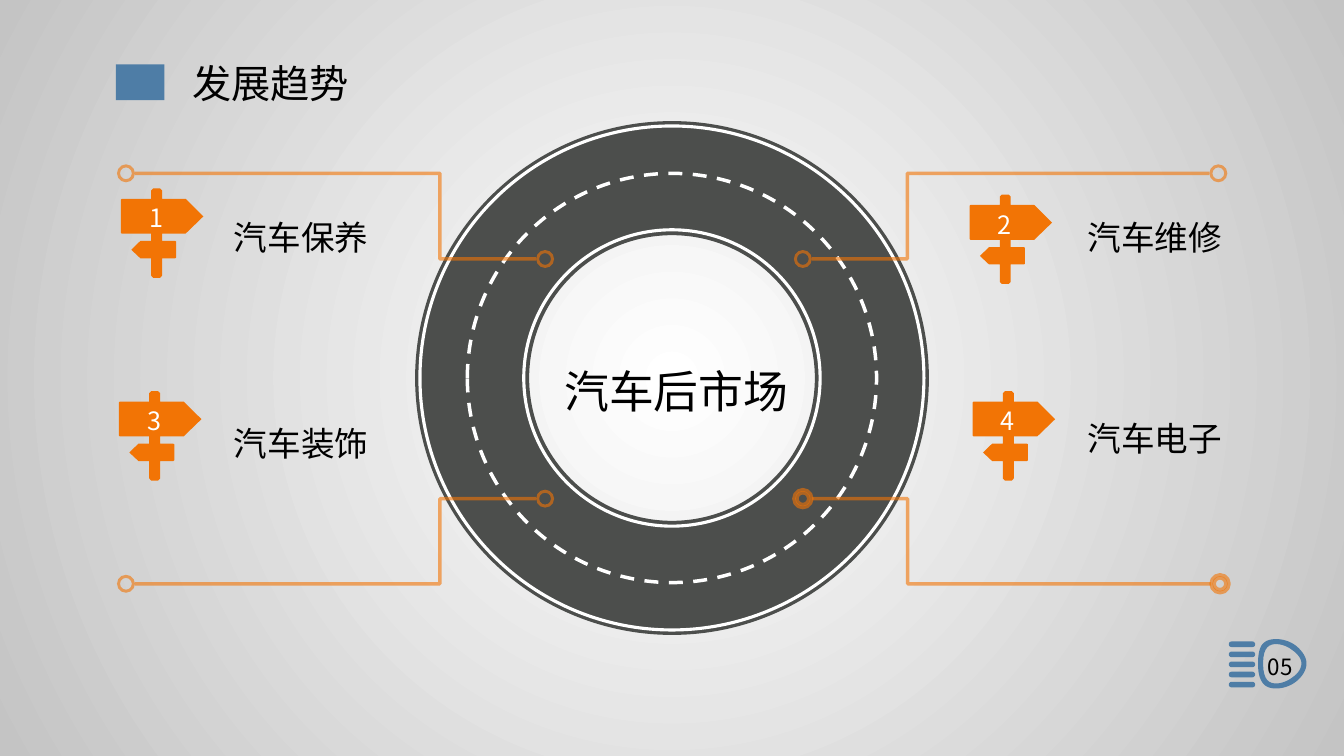
from lxml import etree
from pptx import Presentation
from pptx.dml.color import RGBColor
from pptx.enum.dml import MSO_LINE
from pptx.enum.shapes import MSO_CONNECTOR, MSO_SHAPE
from pptx.enum.text import MSO_ANCHOR, PP_ALIGN
from pptx.oxml.ns import qn
from pptx.util import Pt

RECT, DONUT, OVAL = MSO_SHAPE.RECTANGLE, MSO_SHAPE.DONUT, MSO_SHAPE.OVAL
ROUNDED, ELBOW, DASH = MSO_SHAPE.ROUNDED_RECTANGLE, MSO_CONNECTOR.ELBOW, MSO_LINE.DASH
LEFT, JUSTIFY, TOP = PP_ALIGN.LEFT, PP_ALIGN.JUSTIFY, MSO_ANCHOR.TOP

COLORS = {"blue": "4E7DA6", "road": "4C4E4C", "orange": "F27405",
          "white": "FFFFFF", "grey": "C4C4C4", "black": "000000"}
LATIN, CJK = "Calibri", "Noto Sans CJK SC"

TITLE, TOPIC, PAGE = "发展趋势", "汽车后市场", "05"
CENTER = (480, 270)
ROAD_DIAMETER = 367
ROAD_LINES = [(360, 2.25, None), (211.7, 2.25, None), (292.3, 2.5, DASH)]
# label, label position, sign position
TRENDS = [
    ("汽车保养", (160, 142.6), (86.4, 134.6)),
    ("汽车维修", (769.7, 142.6), (692.6, 139)),
    ("汽车装饰", (160, 290), (85, 279.4)),
    ("汽车电子", (769.7, 286.6), (694.8, 279.4)),
]
RING = 12.8
OPACITY = 60
CALLOUTS = [
    {"inner": (389.4, 185), "outer": (90, 123.8), "filled": True},
    {"inner": (573.5, 185), "outer": (870.3, 123.8), "filled": True},
    {"inner": (389.4, 356.2), "outer": (90, 417), "filled": True},
    {"inner": (573.5, 356.2), "outer": (871.5, 417), "filled": False},
]
SIGN = [
    (46.2, 32.3), (58.9, 20), (46.2, 7.4), (29.4, 7.4), (29.4, 1.4), (28, 0),
    (23, 0), (21.6, 1.4), (21.6, 7.4), (0.6, 7.4), (0, 8), (0, 31.7),
    (0.6, 32.3), (21.6, 32.3), (21.6, 37.5), (13.9, 37.5), (7.4, 43.8),
    (13.9, 49.9), (21.6, 49.9), (21.6, 62.3), (23, 63.8), (28, 63.8),
    (29.4, 62.3), (29.4, 49.9), (38.8, 49.9), (39.5, 49.4), (39.5, 38),
    (38.8, 37.5), (29.4, 37.5), (29.4, 32.3),
]
LAMP_AT = (898.6, 456.5)
LAMP_OUTER = [
    (27.4, 5), (23, 1.4), (17.3, 0), (13, 0), (7.9, 0), (4.3, 1.4), (2.2, 5),
    (0.7, 7.9), (0, 12.2), (0, 17.3), (0, 23), (0.7, 26.6), (2.2, 29.5),
    (4.3, 33.8), (7.9, 35.3), (13, 35.3), (17.3, 35.3), (23, 33.8), (27.4, 30.2),
    (31.7, 26.6), (34.6, 22.3), (34.6, 17.3), (34.6, 13), (31.7, 8.6), (27.4, 5),
]
LAMP_INNER = [
    (24.5, 27.4), (20.9, 30.2), (16.6, 31.7), (13, 31.7), (8.6, 31.7), (3.6, 30.2),
    (3.6, 17.3), (3.6, 5), (8.6, 3.6), (13, 3.6), (16.6, 3.6), (20.9, 5),
    (24.5, 7.9), (28.8, 10.8), (31, 14.4), (31, 17.3), (31, 20.9), (28.8, 24.5),
    (24.5, 27.4),
]
BEAMS, BEAM_AT, BEAM_SIZE, BEAM_PITCH = 5, (877.7, 458.2), (18.9, 4), 7.2

prs = Presentation()
prs.slide_width, prs.slide_height = Pt(960), Pt(540)
slide = prs.slides.add_slide(prs.slide_layouts[5])
shapes = slide.shapes


def rgb(color):
    return RGBColor.from_string(COLORS[color])


def fade(part):
    for color in part.element.spPr.iter(qn("a:srgbClr")):
        etree.SubElement(color, qn("a:alpha"), val=str(OPACITY * 1000))


def paint(part, fill=None, line=None, width=1, dash=None):
    part.shadow.inherit = False
    if fill:
        part.fill.solid()
        part.fill.fore_color.rgb = rgb(fill)
    else:
        part.fill.background()
    if line:
        part.line.color.rgb = rgb(line)
        part.line.width = Pt(width)
        if dash:
            part.line.dash_style = dash
    else:
        part.line.fill.background()


def add_round(kind, center, diameter, hole=None, **style):
    left, top = (c - diameter / 2 for c in center)
    part = shapes.add_shape(kind, Pt(left), Pt(top), Pt(diameter), Pt(diameter))
    if hole:
        part.adjustments[0] = hole
    paint(part, **style)
    return part


def add_outline(contours, at, fill):
    placed = [[(Pt(at[0] + x), Pt(at[1] + y)) for x, y in c] for c in contours]
    builder = shapes.build_freeform(*placed[0][0])
    for number, contour in enumerate(placed):
        if number:
            builder.move_to(*contour[0])
        builder.add_line_segments(contour[1:], close=True)
    paint(builder.convert_to_shape(), fill)


def smooth(points, steps=8):
    curve = [points[0]]
    for i in range(0, len(points) - 1, 3):
        for step in range(1, steps + 1):
            t = step / steps
            weights = ((1 - t) ** 3, 3 * t * (1 - t) ** 2, 3 * t * t * (1 - t), t ** 3)
            curve.append(tuple(sum(w * p[axis] for w, p in zip(weights, points[i:i + 4]))
                               for axis in (0, 1)))
    return curve


def write(box, text, size, font=CJK, color="black", align=LEFT, spacing=1.0):
    frame = box.text_frame
    frame.text = text
    frame.word_wrap = True
    frame.vertical_anchor = TOP
    line = frame.paragraphs[0]
    line.alignment, line.line_spacing = align, spacing
    line.font.size, line.font.name = Pt(size), font
    line.font.color.rgb = rgb(color)


def add_text(text, left, top, width, height, size, **style):
    write(shapes.add_textbox(Pt(left), Pt(top), Pt(width), Pt(height)), text, size, **style)


backdrop = slide.background.fill
backdrop.gradient()
for stop, color, position in zip(backdrop.gradient_stops, ("white", "grey"), (0, 1)):
    stop.color.rgb = rgb(color)
    stop.position = position
gradient = slide.element.find(".//" + qn("a:gradFill"))
gradient.remove(gradient.find(qn("a:lin")))
radial = etree.SubElement(gradient, qn("a:path"), path="circle")
etree.SubElement(radial, qn("a:fillToRect"), l="50000", t="50000", r="50000", b="50000")

title = shapes.title
title.left, title.top, title.width, title.height = Pt(130.3), Pt(38.9), Pt(306.7), Pt(74.2)
write(title, TITLE, 28, font=LATIN)
marker = shapes.add_shape(RECT, Pt(82.8), Pt(46.1), Pt(34.6), Pt(25.4))
paint(marker, "blue")

add_round(DONUT, CENTER, ROAD_DIAMETER, hole=0.222, fill="road")
for diameter, width, dash in ROAD_LINES:
    add_round(OVAL, CENTER, diameter, line="white", width=width, dash=dash)

for callout in CALLOUTS:
    inner, outer = callout["inner"], callout["outer"]
    style = {"fill": "orange"} if callout["filled"] else {"line": "orange", "width": 2.5}
    for center in (inner, outer):
        fade(add_round(DONUT, center, RING, hole=0.17, **style))
    reach = RING / 2 if outer[0] > inner[0] else -RING / 2
    link = shapes.add_connector(ELBOW, Pt(inner[0] + reach), Pt(inner[1]),
                                Pt(outer[0] - reach), Pt(outer[1]))
    link.line.color.rgb = rgb("orange")
    link.line.width = Pt(2.5)
    fade(link)
    properties = link.element.spPr
    etree.SubElement(properties, qn("a:effectLst"))
    bend = properties.find(qn("a:prstGeom")).find(qn("a:avLst"))
    etree.SubElement(bend, qn("a:gd"), name="adj1", fmla="val 24000")

for number, (label, label_at, sign_at) in enumerate(TRENDS, 1):
    add_outline([SIGN], sign_at, "orange")
    add_text(str(number), sign_at[0] + 13, sign_at[1] + 6.7, 32, 29, 18, color="white")
    add_text(label, *label_at, 112.3, 44.6, 24, align=JUSTIFY, spacing=1.3)

add_outline([smooth(LAMP_OUTER), smooth(LAMP_INNER)], LAMP_AT, "blue")
for row in range(BEAMS):
    beam = shapes.add_shape(ROUNDED, Pt(BEAM_AT[0]), Pt(BEAM_AT[1] + row * BEAM_PITCH),
                            *map(Pt, BEAM_SIZE))
    beam.adjustments[0] = 0.5
    paint(beam, "blue")
add_text(PAGE, 898.6, 463, 43.9, 26.6, 16)
add_text(TOPIC, 396, 256.3, 182.9, 45.4, 32, font=LATIN)

prs.save("out.pptx")
